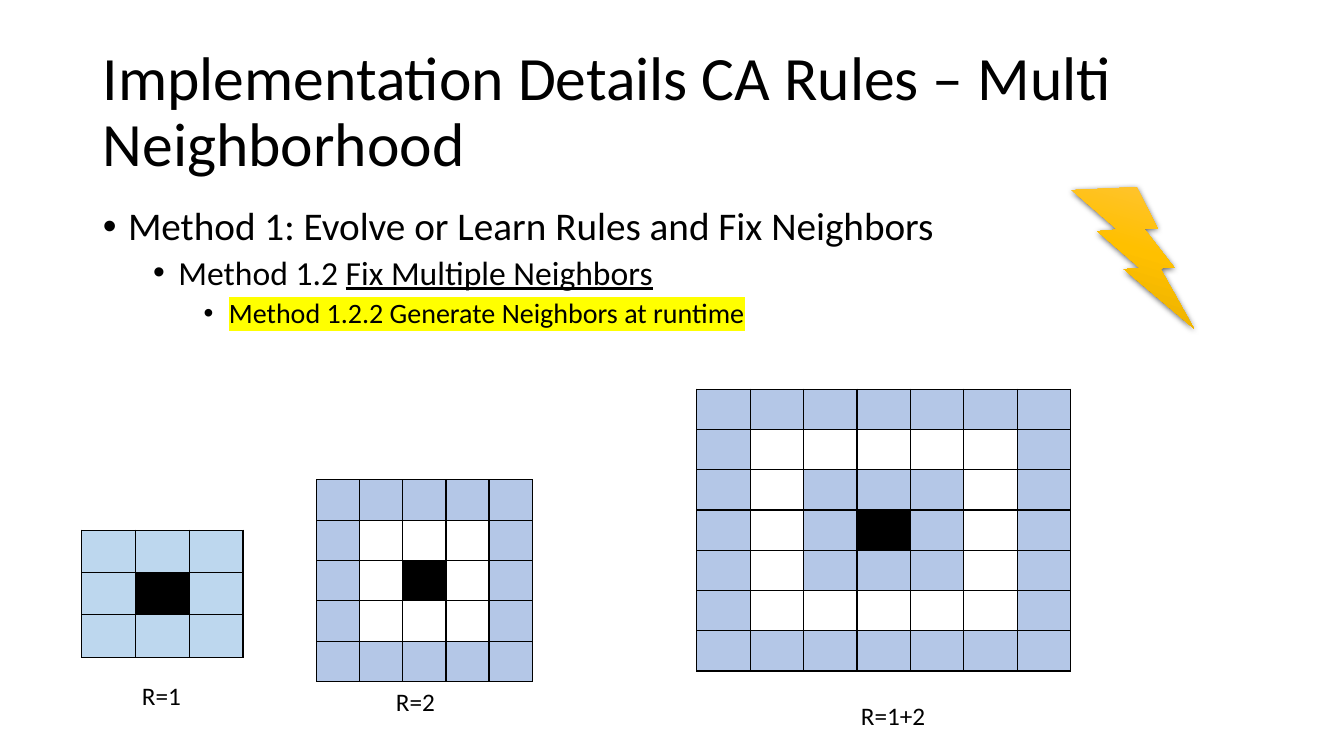
from dataclasses import dataclass

from lxml.etree import SubElement
from pptx import Presentation
from pptx.dml.color import RGBColor
from pptx.enum.shapes import MSO_SHAPE
from pptx.enum.text import MSO_ANCHOR, MSO_AUTO_SIZE, PP_ALIGN
from pptx.oxml import parse_xml
from pptx.oxml.ns import nsdecls, qn
from pptx.util import Inches, Pt


@dataclass(frozen=True)
class Theme:
    font: str = "Calibri"
    ink: str = "000000"
    paper: str = "FFFFFF"
    sky: str = "BDD7EE"
    blue: str = "B4C7E7"
    mark: str = "FFFF00"
    gold: tuple = ("FFC64B", "FFC000", "E3AB00")
    title: int = 44
    levels: tuple = (28, 24, 20)
    label: int = 18


THEME = Theme()
WIDTH, HEIGHT = Inches(13.33), Inches(7.5)

BULLETS = [
    [("Method 1: Evolve or Learn Rules and Fix Neighbors", "")],
    [("Method 1.2 ", ""), ("Fix Multiple Neighbors", "line")],
    [("Method 1.2.2 Generate Neighbors at runtime", "mark")],
]

# caption, radii of the coloured rings, ring colour, grid box, caption box
HOODS = [
    ("R=1", (1,), THEME.sky, (6.08, 70.13, 12, 16.8), (9.83, 89.33, 4.43, 5.33)),
    ("R=2", (2,), THEME.blue, (23.56, 63.47, 16.05, 26.67), (28.73, 90.13, 4.43, 5.33)),
    ("R=1+2", (1, 3), THEME.blue, (51.84, 51.47, 27.83, 37.33), (63.32, 92, 6.38, 5.33)),
]


def scale(box):
    """Turn percentages of the slide into lengths."""
    x, y, w, h = box
    return (int(WIDTH * x / 100), int(HEIGHT * y / 100),
            int(WIDTH * w / 100), int(HEIGHT * h / 100))


def place(shape, box):
    shape.left, shape.top, shape.width, shape.height = scale(box)


def add_run(para, text, size, style=""):
    run = para.add_run()
    run.text = text
    font = run.font
    font.name, font.size = THEME.font, Pt(size)
    font.color.rgb = RGBColor.from_string(THEME.ink)
    if style == "line":
        font.underline = True
    elif style == "mark":
        light = parse_xml(f'<a:highlight {nsdecls("a")}><a:srgbClr val="{THEME.mark}"/></a:highlight>')
        run._r.rPr.find(qn("a:solidFill")).addnext(light)


def add_title(slide, box):
    title = slide.shapes.title
    place(title, box)
    frame = title.text_frame
    frame.auto_size = MSO_AUTO_SIZE.NONE
    frame.vertical_anchor = MSO_ANCHOR.MIDDLE
    para = frame.paragraphs[0]
    para.alignment = PP_ALIGN.LEFT
    para.line_spacing = 0.9
    add_run(para, "Implementation Details CA Rules – Multi Neighborhood", THEME.title)


def add_list(slide, box):
    body = slide.placeholders[1]
    place(body, box)
    frame = body.text_frame
    frame.auto_size = MSO_AUTO_SIZE.NONE
    for level, runs in enumerate(BULLETS):
        para = frame.add_paragraph() if level else frame.paragraphs[0]
        para.level = level
        para.line_spacing = 0.9
        para.space_before = Pt(5 if level else 0)
        props = para._p.get_or_add_pPr()
        props.set("marL", str(Inches(0.25 + 0.5 * level)))
        props.set("indent", str(Inches(-0.25)))
        SubElement(props, qn("a:buFont")).set("typeface", "Arial")
        SubElement(props, qn("a:buChar")).set("char", "•")
        for text, style in runs:
            add_run(para, text, THEME.levels[level], style)


def frame_cell(cell):
    props = cell._tc.get_or_add_tcPr()
    for i, side in enumerate(("lnL", "lnR", "lnT", "lnB")):
        props.insert(i, parse_xml(
            f'<a:{side} {nsdecls("a")} w="{Pt(1)}"><a:solidFill>'
            f'<a:srgbClr val="{THEME.ink}"/></a:solidFill></a:{side}>'))


def add_hood(slide, radii, color, box):
    """Draw a square grid of cells whose rings at the given radii are coloured."""
    reach = max(radii)
    count = 2 * reach + 1
    left, top, width, height = scale(box)
    table = slide.shapes.add_table(count, count, left, top, width, height).table
    table.first_row = table.horz_banding = False
    for i in range(count):
        table.columns[i].width = width // count
        table.rows[i].height = height // count
        for j in range(count):
            ring = max(abs(i - reach), abs(j - reach))
            tint = THEME.ink if ring == 0 else color if ring in radii else THEME.paper
            cell = table.cell(i, j)
            cell.margin_top = cell.margin_bottom = 0
            cell.fill.solid()
            cell.fill.fore_color.rgb = RGBColor.from_string(tint)
            frame_cell(cell)


def add_label(slide, text, box):
    frame = slide.shapes.add_textbox(*scale(box)).text_frame
    frame.word_wrap = False
    frame.auto_size = MSO_AUTO_SIZE.SHAPE_TO_FIT_TEXT
    add_run(frame.paragraphs[0], text, THEME.label)


def add_bolt(slide, box):
    bolt = slide.shapes.add_shape(MSO_SHAPE.LIGHTNING_BOLT, *scale(box))
    bolt.rotation = 16.6
    bolt.line.fill.background()
    stops = "".join(f'<a:gs pos="{i * 50000}"><a:srgbClr val="{tint}"/></a:gs>'
                    for i, tint in enumerate(THEME.gold))
    props = bolt._element.spPr
    props.find(qn("a:prstGeom")).addnext(parse_xml(
        f'<a:gradFill {nsdecls("a")} rotWithShape="1"><a:gsLst>{stops}</a:gsLst>'
        '<a:lin ang="5400000" scaled="0"/></a:gradFill>'))
    props.append(parse_xml(
        f'<a:effectLst {nsdecls("a")}><a:outerShdw blurRad="{Pt(4.5)}" dist="{Pt(1.5)}" '
        f'dir="5400000" algn="ctr" rotWithShape="0"><a:srgbClr val="{THEME.ink}">'
        '<a:alpha val="63000"/></a:srgbClr></a:outerShdw></a:effectLst>'))


def main():
    deck = Presentation()
    deck.slide_width, deck.slide_height = WIDTH, HEIGHT
    slide = deck.slides.add_slide(deck.slide_layouts[1])
    add_title(slide, (6.9, 5.33, 86.25, 19.33))
    add_list(slide, (6.9, 26.67, 86.25, 63.47))
    for text, radii, color, grid, caption in HOODS:
        add_hood(slide, radii, color, grid)
        add_label(slide, text, caption)
    add_bolt(slide, (78.7, 25.07, 11.63, 15.73))
    deck.save("out.pptx")


if __name__ == "__main__":
    main()
